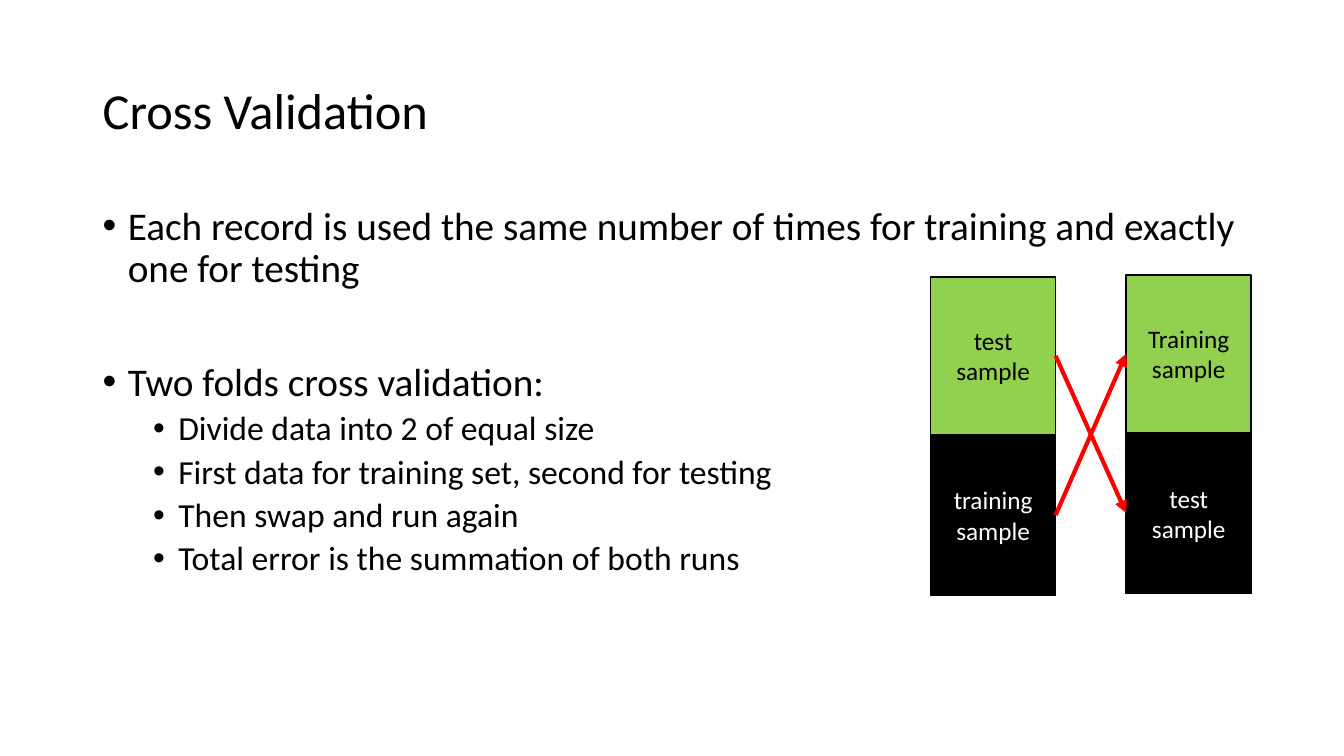
from dataclasses import dataclass

from lxml.etree import SubElement
from pptx import Presentation
from pptx.dml.color import RGBColor
from pptx.enum.shapes import MSO_CONNECTOR, MSO_SHAPE
from pptx.enum.text import MSO_ANCHOR, PP_ALIGN
from pptx.oxml.ns import qn
from pptx.util import Pt

PX = 9144  # EMU per px, 100 px to the inch


@dataclass(frozen=True)
class Theme:
    font: str = "Calibri"
    black: str = "000000"
    white: str = "FFFFFF"
    green: str = "92D050"
    red: str = "FF0000"
    title: int = 36
    body: int = 28
    sub: int = 24
    label: int = 18


THEME = Theme()

# text, level, space before in points
POINTS = [
    ("Each record is used the same number of times for training and exactly one for testing", 0, 10),
    ("Two folds cross validation:", 0, 51),
    ("Divide data into 2 of equal size", 1, 5),
    ("First data for training set, second for testing", 1, 5),
    ("Then swap and run again", 1, 5),
    ("Total error is the summation of both runs", 1, 5),
]


def rgb(code):
    return RGBColor.from_string(code)


def write(para, text, size, color=THEME.black, align=PP_ALIGN.LEFT, lines=1.0, before=0):
    para.alignment = align
    para.line_spacing = lines
    para.space_before = Pt(before)
    run = para.add_run()
    run.text = text
    run.font.name = THEME.font
    run.font.size = Pt(size)
    run.font.color.rgb = rgb(color)


def add_paras(frame, count):
    for _ in range(count - 1):
        frame.add_paragraph()
    return frame.paragraphs


def add_bullet(para, level):
    para.level = level
    props = para._p.get_or_add_pPr()
    props.set("marL", str((25 + 50 * level) * PX))
    props.set("indent", str(-25 * PX))
    SubElement(props, qn("a:buFont")).set("typeface", "Arial")
    SubElement(props, qn("a:buChar")).set("char", "•")


def add_frame(slide, box, anchor):
    frame = slide.shapes.add_textbox(*(n * PX for n in box)).text_frame
    frame.word_wrap = True
    frame.vertical_anchor = anchor
    return frame


def add_title(slide, box):
    frame = add_frame(slide, box, MSO_ANCHOR.MIDDLE)
    write(frame.paragraphs[0], "Cross Validation", THEME.title, lines=0.9)


def add_body(slide, box):
    frame = add_frame(slide, box, MSO_ANCHOR.TOP)
    paras = add_paras(frame, len(POINTS))
    for para, (text, level, before) in zip(paras, POINTS):
        size = THEME.sub if level else THEME.body
        write(para, text, size, lines=0.9, before=before)
        add_bullet(para, level)


def add_cell(slide, box, lines, fill, color):
    cell = slide.shapes.add_shape(MSO_SHAPE.RECTANGLE, *(n * PX for n in box))
    cell.shadow.inherit = False
    cell.fill.solid()
    cell.fill.fore_color.rgb = rgb(fill)
    cell.line.color.rgb = rgb(THEME.black)
    cell.line.width = Pt(1)
    frame = cell.text_frame
    frame.word_wrap = True
    frame.vertical_anchor = MSO_ANCHOR.MIDDLE
    for para, text in zip(add_paras(frame, len(lines)), lines):
        write(para, text, THEME.label, color, PP_ALIGN.CENTER)
    return cell


def add_stack(slide, box, upper, lower):
    """Draw a green cell above a slightly taller black one; return both."""
    left, top, width, height = box
    split = height // 2 - 2
    base = add_cell(slide, (left, top + split, width, height - split),
                    lower, THEME.black, THEME.white)
    head = add_cell(slide, (left, top, width, split), upper, THEME.green, THEME.black)
    return head, base


def add_arrow(slide, start, end):
    """Join the right side of one cell to the left side of another."""
    arrow = slide.shapes.add_connector(MSO_CONNECTOR.STRAIGHT, 0, 0, 0, 0)
    arrow.begin_connect(start, 3)
    arrow.end_connect(end, 1)
    arrow.line.color.rgb = rgb(THEME.red)
    arrow.line.width = Pt(3)
    SubElement(arrow.line._get_or_add_ln(), qn("a:tailEnd")).set("type", "triangle")
    SubElement(arrow._element.spPr, qn("a:effectLst"))


def add_swap(slide, box):
    """Draw the two folds and the arrows that swap their roles."""
    left, top, width, height = box
    cell, tall = 124, height - 2
    first = add_stack(slide, (left, top + 2, cell, tall),
                      ["test sample"], ["training sample"])
    second = add_stack(slide, (left + width - cell, top, cell, tall),
                       ["Training", "sample"], ["test sample"])
    for start, end in zip(first, reversed(second)):
        add_arrow(slide, start, end)


def main():
    deck = Presentation()
    deck.slide_width, deck.slide_height = 1333 * PX, 750 * PX
    slide = deck.slides.add_slide(deck.slide_layouts[6])
    add_title(slide, (92, 40, 1150, 145))
    add_body(slide, (92, 200, 1150, 476))
    add_swap(slide, (923, 273, 318, 318))
    deck.save("out.pptx")


if __name__ == "__main__":
    main()
